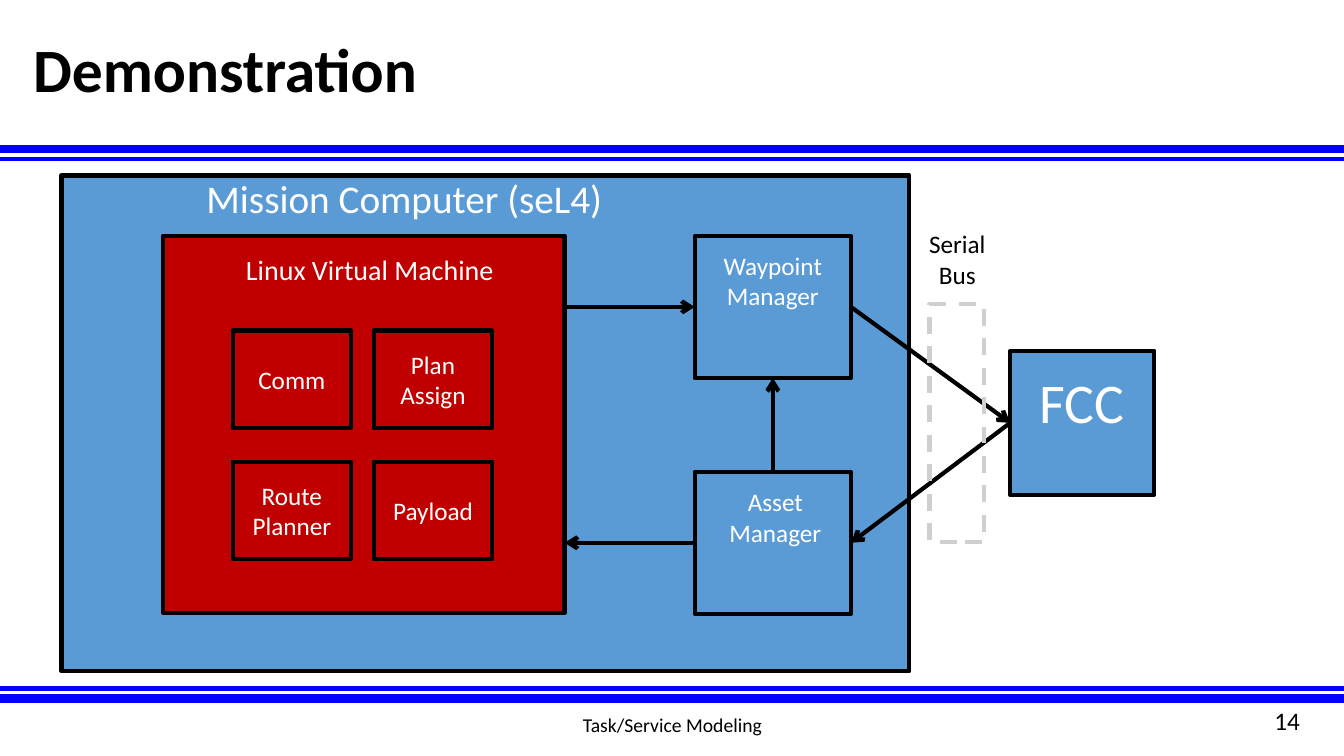
from lxml import etree
from pptx import Presentation
from pptx.dml.color import RGBColor
from pptx.enum.dml import MSO_LINE
from pptx.enum.shapes import MSO_CONNECTOR, MSO_SHAPE
from pptx.enum.text import MSO_ANCHOR, MSO_AUTO_SIZE, PP_ALIGN
from pptx.oxml.ns import qn
from pptx.util import Inches, Pt

BLACK = RGBColor(0x00, 0x00, 0x00)
WHITE = RGBColor(0xFF, 0xFF, 0xFF)
RULE_BLUE = RGBColor(0x00, 0x00, 0xFF)
BOX_BLUE = RGBColor(0x5B, 0x9B, 0xD5)
VM_RED = RGBColor(0xC0, 0x00, 0x00)
BUS_GREY = RGBColor(0xD0, 0xCE, 0xCE)

LEFT, CENTER, RIGHT = PP_ALIGN.LEFT, PP_ALIGN.CENTER, PP_ALIGN.RIGHT
TOP, MIDDLE = MSO_ANCHOR.TOP, MSO_ANCHOR.MIDDLE
STRAIGHT = MSO_CONNECTOR.STRAIGHT
TOP_SIDE, LEFT_SIDE, BOTTOM_SIDE, RIGHT_SIDE = range(4)

prs = Presentation()
prs.slide_width = Inches(13.33)
prs.slide_height = Inches(7.5)
slide = prs.slides.add_slide(prs.slide_layouts[6])
shapes = slide.shapes


def add_box(left, top, width, height, fill, outline=BLACK):
    box = shapes.add_shape(MSO_SHAPE.RECTANGLE, Inches(left), Inches(top),
                           Inches(width), Inches(height))
    box.shadow.inherit = False
    if fill is None:
        box.fill.background()
    else:
        box.fill.solid()
        box.fill.fore_color.rgb = fill
    box.line.color.rgb = outline
    box.line.width = Pt(3)
    return box


def write(shape, text, size, color, align=CENTER, anchor=TOP, wrap=True):
    """Fill a shape with one paragraph per line of text."""
    frame = shape.text_frame
    frame.word_wrap = wrap
    if not wrap:
        frame.auto_size = MSO_AUTO_SIZE.SHAPE_TO_FIT_TEXT
    frame.vertical_anchor = anchor
    frame.text = text
    for paragraph in frame.paragraphs:
        paragraph.alignment = align
        paragraph.font.name = "Calibri"
        paragraph.font.size = Pt(size)
        paragraph.font.color.rgb = color


# Header and footer rules
for y, weight in ((1.48, 6), (1.58, 3), (6.93, 6), (6.83, 3)):
    rule = shapes.add_connector(STRAIGHT, 0, Inches(y), prs.slide_width, Inches(y))
    rule.line.color.rgb = RULE_BLUE
    rule.line.width = Pt(weight)
    etree.SubElement(rule._element.spPr, qn("a:effectLst"))

title = shapes.add_textbox(Inches(0.23), Inches(0.07), Inches(11.43), Inches(1.29))
write(title, "Demonstration", 44, BLACK, LEFT, MIDDLE)
title.text_frame.paragraphs[0].font.bold = True
title.text_frame.paragraphs[0].line_spacing = 0.9

# Main components
add_box(0.61, 1.74, 8.41, 4.92, BOX_BLUE)
waypoint = add_box(6.89, 2.34, 1.55, 1.41, BOX_BLUE)
fcc = add_box(10.02, 3.48, 1.43, 1.43, BOX_BLUE)
asset = add_box(6.89, 4.68, 1.55, 1.41, BOX_BLUE)
add_box(1.62, 2.34, 3.98, 3.74, VM_RED)

# Services inside the virtual machine
services = (("Comm", "Plan\nAssign"), ("Route\nPlanner", "Payload"))
for row, names in enumerate(services):
    for column, name in enumerate(names):
        service = add_box(2.31 + 1.4 * column, 3.28 + 1.3 * row, 1.17, 0.97, VM_RED)
        write(service, name, 18, WHITE, anchor=MIDDLE)

# Message flows: a None end is a free point on the virtual machine's right edge
VM_RIGHT = Inches(5.6)
flows = (
    (waypoint, RIGHT_SIDE, fcc, LEFT_SIDE),
    (fcc, LEFT_SIDE, asset, RIGHT_SIDE),
    (asset, TOP_SIDE, waypoint, BOTTOM_SIDE),
    (None, None, waypoint, LEFT_SIDE),
    (asset, LEFT_SIDE, None, None),
)
for source, source_side, target, target_side in flows:
    manager = source or target
    y = manager.top + manager.height // 2
    if source and target:
        y = 0
    flow = shapes.add_connector(STRAIGHT, VM_RIGHT, y, VM_RIGHT, y)
    if source:
        flow.begin_connect(source, source_side)
    if target:
        flow.end_connect(target, target_side)
    flow.line.color.rgb = BLACK
    flow.line.width = Pt(3)
    etree.SubElement(flow.line._get_or_add_ln(), qn("a:tailEnd"), type="arrow")
    etree.SubElement(flow._element.spPr, qn("a:effectLst"))

serial_bus = add_box(9.22, 3.02, 0.54, 2.36, None, BUS_GREY)
serial_bus.line.dash_style = MSO_LINE.DASH

# Labels
labels = (
    ("Mission Computer (seL4)", 1.95, 1.68, 4.17, 0.57, 28, WHITE, LEFT),
    ("Linux Virtual Machine", 2.34, 2.46, 2.68, 0.44, 20, WHITE, LEFT),
    ("Waypoint\nManager", 7.07, 2.43, 1.19, 0.71, 18, WHITE, CENTER),
    ("Asset\nManager", 7.13, 4.78, 1.12, 0.71, 18, WHITE, CENTER),
    ("Serial\nBus", 9.11, 2.22, 0.77, 0.71, 18, BLACK, CENTER),
    ("FCC", 10.21, 3.6, 1.05, 0.77, 40, WHITE, LEFT),
)
for text, left, top, width, height, size, color, align in labels:
    label = shapes.add_textbox(Inches(left), Inches(top), Inches(width), Inches(height))
    write(label, text, size, color, align, wrap=False)

footer = shapes.add_textbox(Inches(4.42), Inches(7.02), Inches(4.5), Inches(0.34))
write(footer, "Task/Service Modeling", 14, BLACK, anchor=MIDDLE)
page_number = shapes.add_textbox(Inches(9.42), Inches(6.95), Inches(3.57), Inches(0.4))
write(page_number, "14", 18, BLACK, RIGHT)

prs.save("out.pptx")
